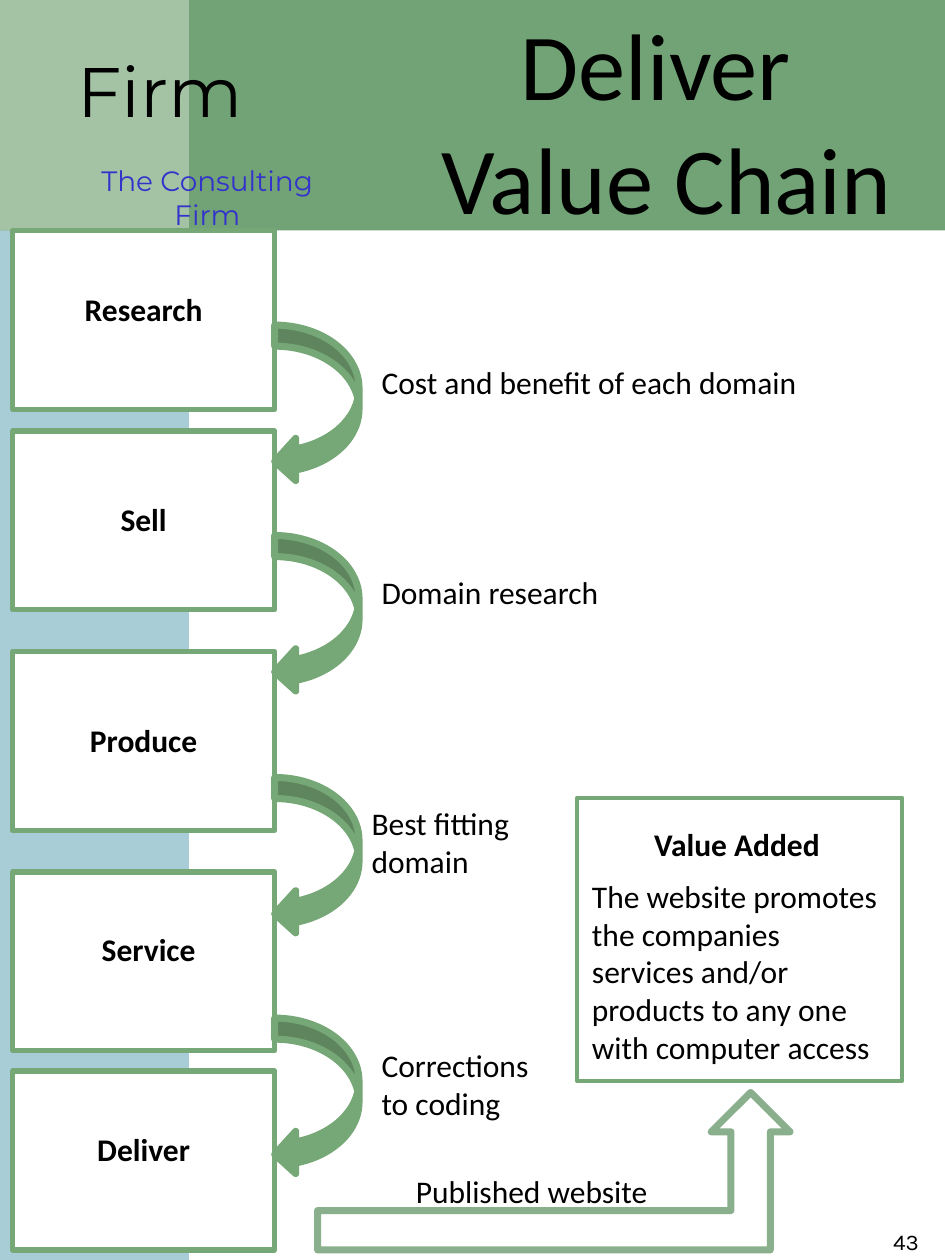
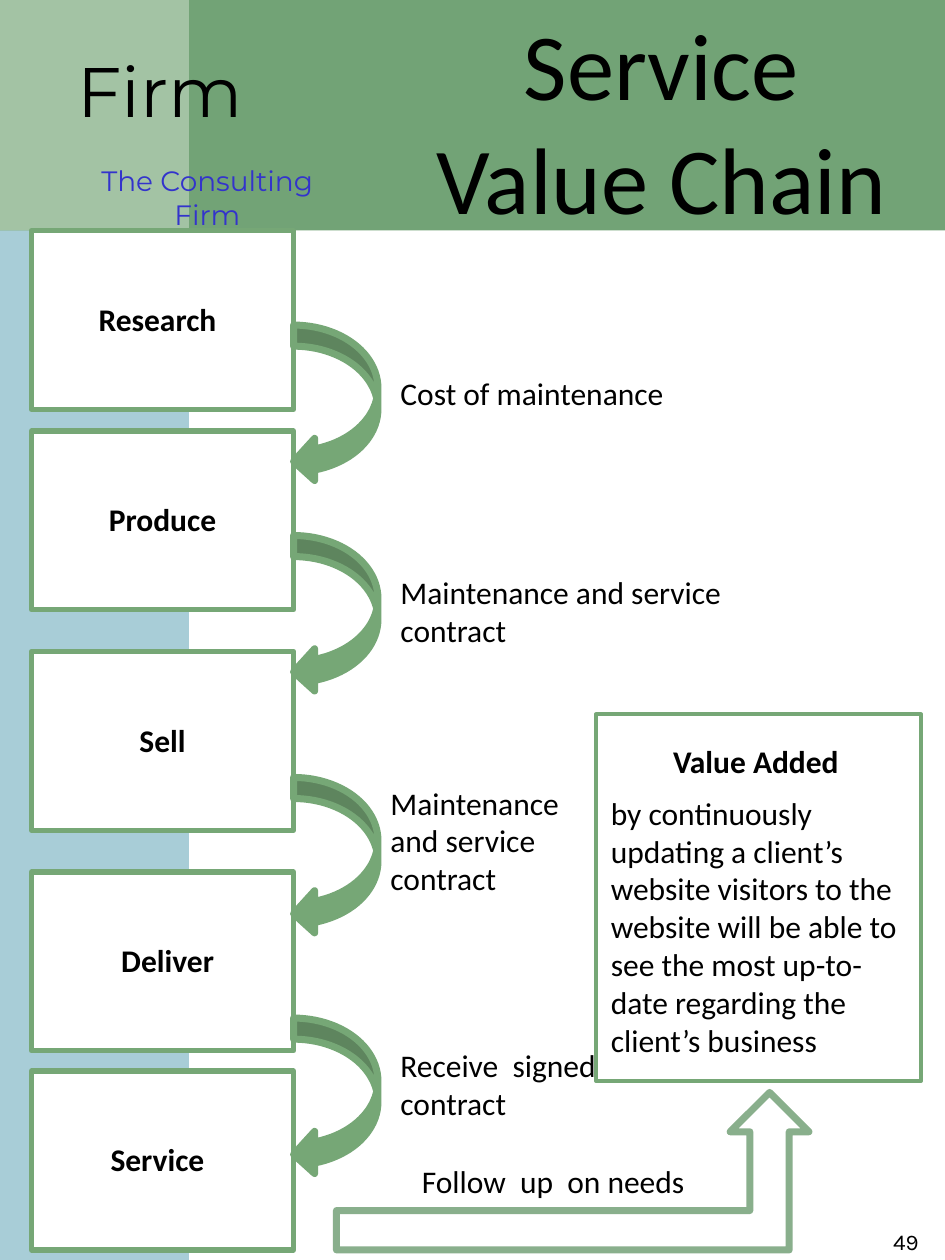
from dataclasses import dataclass

from lxml.etree import SubElement
from pptx import Presentation
from pptx.dml.color import RGBColor
from pptx.enum.shapes import MSO_SHAPE as Preset
from pptx.enum.text import MSO_ANCHOR as Anchor, MSO_AUTO_SIZE as AutoSize, PP_ALIGN as Align
from pptx.oxml.ns import qn
from pptx.util import Inches, Pt

BLACK, WHITE = "000000", "FFFFFF"
GREEN, PALE_GREEN, ARROW_GREEN = "76A776", "B0CCB0", "89AF8C"
BAND_GREEN, SIDE_BLUE, NAVY = "72A376", "A8CDD7", "3333CC"
BODY_FONT, BRAND_FONT, NUMBER_FONT = "Calibri", "Montserrat", "Karla"

BAND_HEIGHT = 1.83
STEP_WIDTH, STEP_HEIGHT = 2.08, 1.42
STEP_TOPS = (1.83, 3.42, 5.17, 6.92, 8.5)
TURN_TOPS = (2.58, 4.25, 6.17, 8.08)
VALUE_BOTTOM = 8.58


@dataclass
class ValueChain:
    """One slide; steps are (name, label drop, label nudge to the right),
    notes are (lines, left, top, width, height), with left from the chain's edge."""
    title: tuple
    title_left: float
    left: float
    steps: tuple
    notes: tuple
    value_top: float
    value_text: str
    outcome: tuple
    outcome_align: Align
    number: str


DELIVER = ValueChain(
    title=("Deliver ", "Value Chain"), title_left=3.08, left=0.1,
    steps=(("Research", 0.42, 0), ("Sell", 0.5, 0), ("Produce", 0.5, 0),
           ("Service", 0.41, 0.04), ("Deliver", 0.42, 0)),
    notes=((("Cost and benefit of each domain",), 2.83, 2.83, 3.67, 0.4),
           (("Domain research",), 2.83, 4.5, 2, 0.4),
           (("Best fitting domain",), 2.75, 6.33, 1.75, 0.71),
           (("Corrections to coding",), 2.83, 8.25, 1.5, 0.71)),
    value_top=6.33,
    value_text="The website promotes the companies services and/or products "
               "to any one with computer access",
    outcome=(("Published website",), 2.58, 9.25, 3.08, 0.4),
    outcome_align=Align.CENTER, number="43")

SERVICE = ValueChain(
    title=("Service", "Value Chain"), title_left=3, left=0.25,
    steps=(("Research", 0.5, -0.04), ("Produce", 0.5, 0), ("Sell", 0.5, 0),
           ("Deliver", 0.5, 0.04), ("Service", 0.5, -0.04)),
    notes=((("Cost of maintenance",), 2.83, 2.92, 3.33, 0.4),
           (("Maintenance and service contract",), 2.83, 4.5, 3.08, 0.71),
           (("Maintenance and service contract",), 2.75, 6.17, 1.75, 1.01),
           (("Receive  signed", "contract"), 2.83, 8.25, 1.83, 0.71)),
    value_top=5.67,
    value_text="by continuously updating a client’s website visitors to the website "
               "will be able to see the most up-to-date regarding the client’s business",
    outcome=(("Follow  up  on needs",), 3, 9.17, 2.67, 0.4),
    outcome_align=Align.LEFT, number="49")


def rgb(hex_string):
    return RGBColor.from_string(hex_string)


def add_block(slide, preset, left, top, width, height, fill, line=None, weight=3):
    block = slide.shapes.add_shape(
        preset, Inches(left), Inches(top), Inches(width), Inches(height))
    block.shadow.inherit = False
    block.fill.solid()
    block.fill.fore_color.rgb = rgb(fill)
    if line:
        block.line.color.rgb = rgb(line)
        block.line.width = Pt(weight)
    else:
        block.line.fill.background()
    return block


def write_lines(frame, lines, size, align, font, color, bold):
    for index, line in enumerate(lines):
        paragraph = frame.add_paragraph() if index else frame.paragraphs[0]
        paragraph.alignment = align
        run = paragraph.add_run()
        run.text = line
        run.font.name = font
        run.font.size = Pt(size)
        run.font.bold = bold
        run.font.color.rgb = rgb(color)


def add_text(slide, lines, left, top, width, height, size=18, align=Align.LEFT,
             font=BODY_FONT, color=BLACK, bold=False, wrap=True):
    box = slide.shapes.add_textbox(
        Inches(left), Inches(top), Inches(width), Inches(height))
    box.text_frame.word_wrap = wrap
    write_lines(box.text_frame, lines, size, align, font, color, bold)
    return box


def set_opacity(block, percent):
    color = block.fill._xPr.find(qn("a:solidFill"))[0]
    SubElement(color, qn("a:alpha")).set("val", str(percent * 1000))


def add_letterhead(slide, layout):
    """Draw the bands and the firm's name, then hand them to the layout all slides use."""
    side = add_block(slide, Preset.RECTANGLE, 0, 0.67, 1.5, 9.33, SIDE_BLUE)
    band = add_block(slide, Preset.RECTANGLE, 0, 0, 7.5, BAND_HEIGHT, BAND_GREEN)
    corner = add_block(slide, Preset.RECTANGLE, 0, 0, 1.5, BAND_HEIGHT, PALE_GREEN)
    set_opacity(corner, 80)
    initials = add_text(slide, ("Firm",), 0.46, 0.33, 1.62, 0.77, 40, Align.CENTER,
                        BRAND_FONT, wrap=False)
    firm = add_text(slide, ("The Consulting Firm",), 0.42, 1.25, 2.45, 0.31, 16,
                    Align.CENTER, BRAND_FONT, NAVY, wrap=False)
    for part in (side, band, corner, initials, firm):
        layout.shapes.element.append(part.element)


def set_title(slide, lines, left):
    title = slide.shapes.title
    title.left, title.top = Inches(left), 0
    title.width, title.height = Inches(7.5 - left), Inches(1.92)
    frame = title.text_frame
    frame.word_wrap = True
    frame.auto_size = AutoSize.NONE
    frame.vertical_anchor = Anchor.TOP
    write_lines(frame, lines, 54, Align.CENTER, BODY_FONT, BLACK, False)


def add_steps(slide, chain):
    for top in STEP_TOPS:
        add_block(slide, Preset.RECTANGLE, chain.left, top, STEP_WIDTH, STEP_HEIGHT,
                  WHITE, GREEN)
    for top in TURN_TOPS:
        add_block(slide, Preset.CURVED_LEFT_ARROW, chain.left + STEP_WIDTH, top,
                  0.67, 1.25, GREEN, GREEN, 4)
    for top, (name, drop, nudge) in zip(STEP_TOPS, chain.steps):
        add_text(slide, (name,), chain.left + nudge, top + drop, STEP_WIDTH, 0.4,
                 align=Align.CENTER, bold=True)


def add_value(slide, chain):
    left, top = chain.left + 4.5, chain.value_top
    height = VALUE_BOTTOM - top
    add_block(slide, Preset.BENT_UP_ARROW, chain.left + 2.42, 8.67, 3.75, 1.25,
              WHITE, ARROW_GREEN, 4)
    add_block(slide, Preset.RECTANGLE, left - 0.02, top, 2.58, height, WHITE, GREEN, 2.25)
    add_text(slide, ("Value Added",), left, top + 0.17, 2.5, 0.4,
             align=Align.CENTER, bold=True)
    add_text(slide, (chain.value_text,), left, top + 0.58, 2.5, height - 0.63)


def add_note(slide, chain, note, align=Align.LEFT):
    lines, left, *place = note
    add_text(slide, lines, chain.left + left, *place, align=align)


def add_page_number(slide, number):
    box = add_text(slide, (number,), 6.88, 9.67, 0.62, 0.33, 16, Align.CENTER, NUMBER_FONT)
    box.text_frame.vertical_anchor = Anchor.MIDDLE
    run = box.text_frame.paragraphs[0].runs[0]
    run.font._element.set("cap", "small")


def add_chain_slide(deck, layout, chain):
    slide = deck.slides.add_slide(layout)
    set_title(slide, chain.title, chain.title_left)
    add_steps(slide, chain)
    add_value(slide, chain)
    for note in chain.notes:
        add_note(slide, chain, note)
    add_note(slide, chain, chain.outcome, chain.outcome_align)
    add_page_number(slide, chain.number)
    return slide


def main():
    deck = Presentation()
    deck.slide_width, deck.slide_height = Inches(7.5), Inches(10)
    title_only = deck.slide_layouts[5]
    slides = [add_chain_slide(deck, title_only, chain) for chain in (DELIVER, SERVICE)]
    add_letterhead(slides[0], title_only)
    deck.save("out.pptx")


if __name__ == "__main__":
    main()
